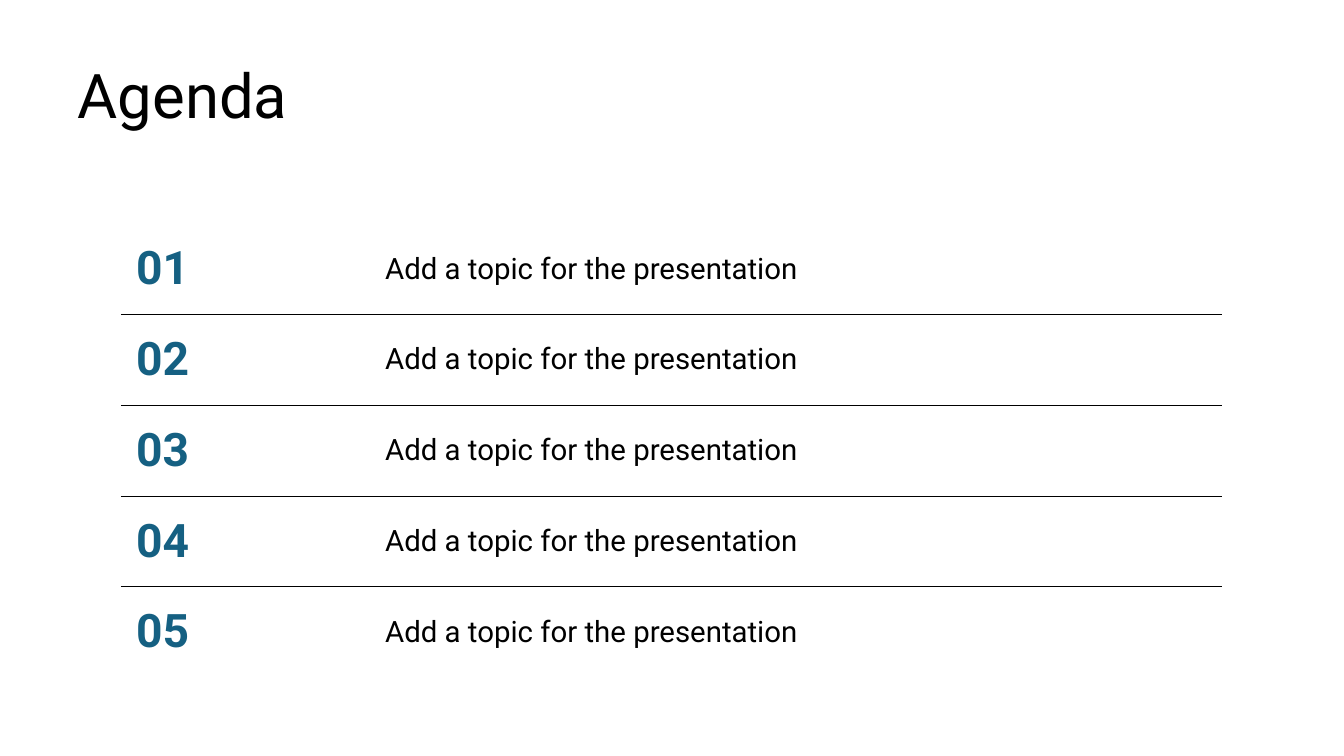
from lxml.etree import SubElement
from pptx import Presentation
from pptx.dml.color import RGBColor
from pptx.enum.text import MSO_ANCHOR, PP_ALIGN
from pptx.oxml.ns import qn
from pptx.util import Inches, Pt

COLORS = {"text": "000000", "number": "156082", "rule": "000000", "page": "FFFFFF"}
FONT = "Roboto"
TOPICS = ["Add a topic for the presentation"] * 5
COLUMNS = (2.47, 8.45)
ROW_HEIGHT = 0.9


def style(p, size, color, bold=False):
    """Format a whole paragraph."""
    p.alignment = PP_ALIGN.LEFT
    p.font.name = FONT
    p.font.size = Pt(size)
    p.font.bold = bold
    p.font.color.rgb = RGBColor.from_string(COLORS[color])


def add_title(s, text):
    """Place and format the title placeholder."""
    sp = s.shapes.title
    sp.left, sp.top, sp.width, sp.height = map(Inches, (0.67, 0.6, 11.97, 1.24))
    tf = sp.text_frame
    tf.text = text
    tf.word_wrap = True
    tf.vertical_anchor = MSO_ANCHOR.TOP
    p = tf.paragraphs[0]
    p.line_spacing = 0.9
    style(p, 44, "text")


def set_borders(cell, ruled):
    """Draw a thin rule on the ruled sides and clear the others."""
    tcPr = cell._tc.get_or_add_tcPr()
    for side in ("lnL", "lnR", "lnT", "lnB"):
        ln = SubElement(tcPr, qn(f"a:{side}"), w=str(Pt(0.5)))
        if side in ruled:
            fill = SubElement(ln, qn("a:solidFill"))
            SubElement(fill, qn("a:srgbClr"), val=COLORS["rule"])
        else:
            SubElement(ln, qn("a:noFill"))


def fill_cell(cell, text, ruled, **font):
    """Write one agenda cell with its margins and rules."""
    cell.text = text
    cell.vertical_anchor = MSO_ANCHOR.MIDDLE
    cell.margin_left = cell.margin_right = Inches(0.15)
    cell.margin_top = cell.margin_bottom = Inches(0.15)
    set_borders(cell, ruled)
    cell.fill.background()
    style(cell.text_frame.paragraphs[0], **font)


def add_agenda(s, topics):
    """Add the numbered topics as a table with rules between rows."""
    n = len(topics)
    table = s.shapes.add_table(
        n, len(COLUMNS), Inches(1.2), Inches(2.22),
        Inches(sum(COLUMNS)), Inches(n * ROW_HEIGHT)).table
    table.first_row = table.horz_banding = False
    for column, width in zip(table.columns, COLUMNS):
        column.width = Inches(width)
    for i, topic in enumerate(topics):
        table.rows[i].height = Inches(ROW_HEIGHT)
        ruled = [side for side, shown in (("lnT", i > 0), ("lnB", i < n - 1)) if shown]
        fill_cell(table.cell(i, 0), f"{i + 1:02}", ruled, size=33, color="number", bold=True)
        fill_cell(table.cell(i, 1), topic, ruled, size=21, color="text")


def main():
    """Build the agenda slide."""
    prs = Presentation()
    prs.slide_width, prs.slide_height = Inches(13.33), Inches(7.5)
    s = prs.slides.add_slide(prs.slide_layouts[5])
    s.background.fill.solid()
    s.background.fill.fore_color.rgb = RGBColor.from_string(COLORS["page"])
    add_title(s, "Agenda")
    add_agenda(s, TOPICS)
    prs.save("out.pptx")


if __name__ == "__main__":
    main()
